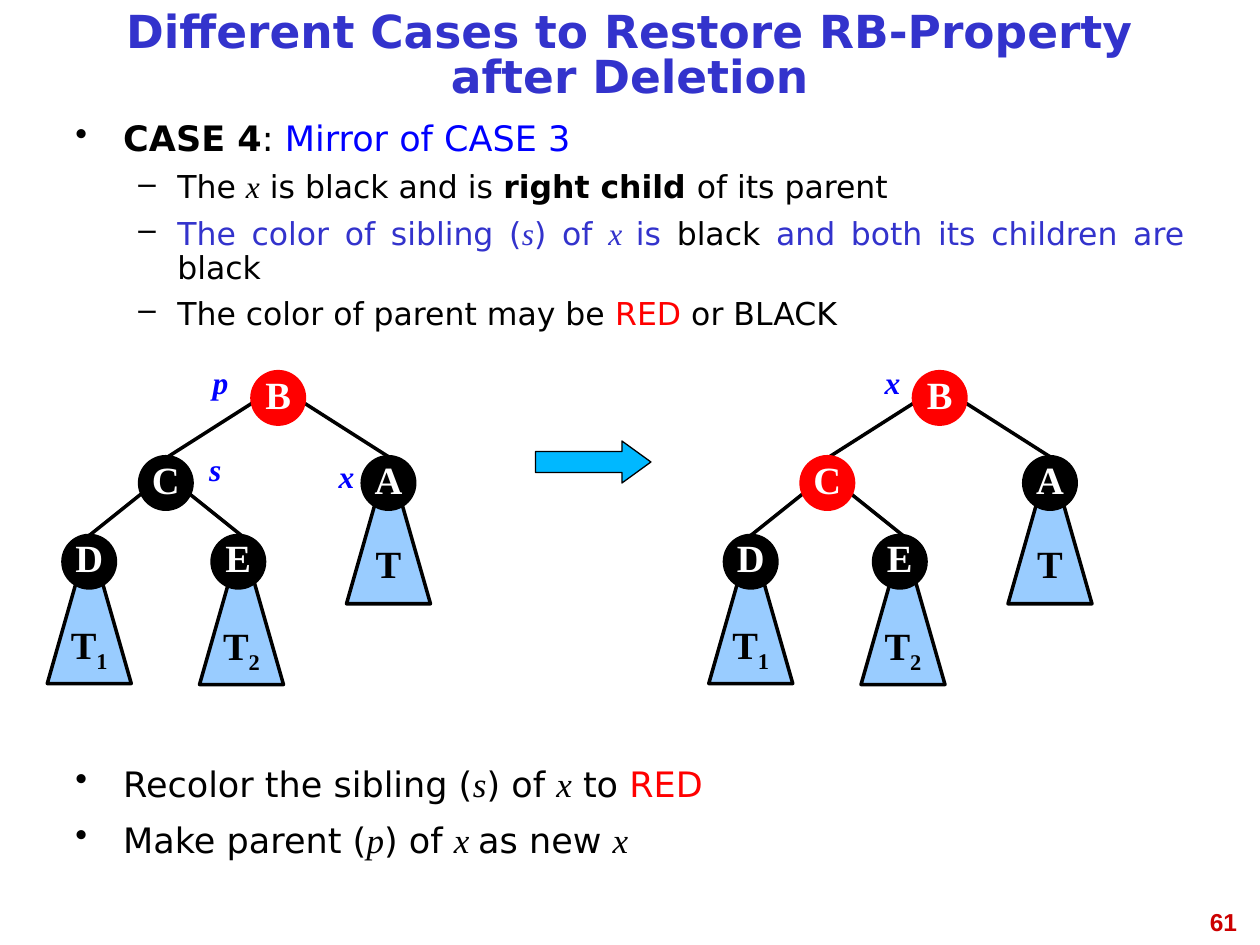
from lxml import etree
from pptx import Presentation
from pptx.dml.color import RGBColor
from pptx.enum.shapes import MSO_CONNECTOR, MSO_SHAPE
from pptx.enum.text import MSO_ANCHOR, PP_ALIGN
from pptx.oxml.ns import qn
from pptx.util import Inches, Pt

LEFT, CENTER, RIGHT, JUSTIFY = PP_ALIGN.LEFT, PP_ALIGN.CENTER, PP_ALIGN.RIGHT, PP_ALIGN.JUSTIFY
TOP, MIDDLE = MSO_ANCHOR.TOP, MSO_ANCHOR.MIDDLE
STRAIGHT = MSO_CONNECTOR.STRAIGHT
ELLIPSE, TRIANGLE, ARROW = MSO_SHAPE.OVAL, MSO_SHAPE.ISOSCELES_TRIANGLE, MSO_SHAPE.RIGHT_ARROW

WIDTH, HEIGHT = Inches(10), Inches(7.5)
COLUMN, ROW = WIDTH / 120, HEIGHT / 90
NODE_SIZE, SUBTREE_SIZE = (5, 5), (8, 14)

COLORS = {
    "black": "000000", "white": "FFFFFF", "red": "FF0000", "blue": "0000FF",
    "indigo": "3333CC", "crimson": "CC0000", "sky": "99CCFF", "cyan": "00B8FF",
}
SANS, SERIF = "DejaVu Sans", "Times New Roman"
PLAIN = {"name": SANS, "bold": False, "italic": False, "color": "black"}
VARIABLE = {"name": SERIF, "italic": True}
BOLD, RED, BLUE, INDIGO = {"bold": True}, {"color": "red"}, {"color": "blue"}, {"color": "indigo"}
INDIGO_VARIABLE = VARIABLE | INDIGO
TITLE_FORMAT = {"size": 26, "bold": True, "color": "indigo"}
NUMBER_FORMAT = {"name": "Arial", "size": 14, "bold": True, "color": "crimson"}
NODE_FORMAT = {"name": SERIF, "size": 22, "bold": True, "color": "white"}
SUBTREE_FORMAT = NODE_FORMAT | {"color": "black"}
LABEL_FORMAT = VARIABLE | {"size": 18, "bold": True, "color": "blue"}

# Bullet levels: mark, margin and hanging indent in inches, size and space before in points
LEVELS = [
    {"mark": "•", "margin": 0.38, "hang": 0.38, "size": 20, "before": 8},
    {"mark": "–", "margin": 0.81, "hang": 0.31, "size": 18, "before": 7},
]
CASE_ITEMS = [
    (0, [("CASE 4", BOLD), (": ", {}), ("Mirror of CASE 3", BLUE)]),
    (1, [("The ", {}), ("x", VARIABLE), (" is black and is ", {}),
         ("right child ", BOLD), ("of its parent", {})]),
    (1, [("The color of sibling (", INDIGO), ("s", INDIGO_VARIABLE), (") of ", INDIGO),
         ("x ", INDIGO_VARIABLE), ("is ", INDIGO), ("black", {}),
         (" and both its children are ", INDIGO), ("black", {})]),
    (1, [("The color of parent may be ", {}), ("RED", RED), (" or BLACK", {})]),
]
ACTION_ITEMS = [
    (0, [("Recolor the sibling (", {}), ("s", VARIABLE), (") of ", {}),
         ("x", VARIABLE), (" to ", {}), ("RED", RED)]),
    (0, [("Make parent (", {}), ("p", VARIABLE), (") of ", {}),
         ("x ", VARIABLE), ("as new ", {}), ("x", VARIABLE)]),
]

# Tree parts, in columns and rows from the corner of the tree
EDGES = [
    ((24.5, 4.4), (32.5, 9.5)), ((19.5, 4.4), (11.5, 9.5)),
    ((9, 13), (4, 17)), ((13.5, 13), (18.5, 17)),
]
SUBTREES = [("", (28.5, 9.5)), ("1", (0, 17.1)), ("2", (14.5, 17.2))]
NODES = {"B": (19.5, 1.4), "A": (30, 9.5), "C": (8.8, 9.5), "D": (1.5, 17), "E": (15.7, 17)}
TREES = [
    ((4.5, 34), {"B"}, [("p", (11.5, 0, 10, 4.8)), ("x", (25.5, 8.9, 6, 4.8)),
                        ("s", (12.5, 8.3, 7, 4.8))]),
    ((67.5, 34), {"B", "C"}, [("x", (12.5, 0, 10, 4.8))]),
]


def rgb(name):
    return RGBColor.from_string(COLORS[name])


def on_grid(box):
    """Turns columns and rows, in turn, into slide lengths."""
    return [round(value * (ROW if index % 2 else COLUMN)) for index, value in enumerate(box)]


def add_span(para, text, **changes):
    style = PLAIN | changes
    span = para.add_run()
    span.text = text
    span.font.size = Pt(style["size"])
    span.font.color.rgb = rgb(style["color"])
    for name in ("name", "bold", "italic"):
        setattr(span.font, name, style[name])
    return span


def add_bullet(para, mark, margin, hang):
    properties = para._p.get_or_add_pPr()
    properties.set("marL", str(Inches(margin)))
    properties.set("indent", str(-Inches(hang)))
    color = etree.SubElement(properties, qn("a:buClr"))
    etree.SubElement(color, qn("a:srgbClr")).set("val", COLORS["black"])
    etree.SubElement(properties, qn("a:buChar")).set("char", mark)


def add_text_box(page, box, anchor=TOP):
    frame = page.shapes.add_textbox(*on_grid(box)).text_frame
    for name, value in {"word_wrap": True, "vertical_anchor": anchor}.items():
        setattr(frame, name, value)
    return frame


def add_line_of_text(page, box, text, style, align=CENTER, anchor=TOP, spacing=1.0):
    para = add_text_box(page, box, anchor).paragraphs[0]
    para.alignment, para.line_spacing = align, spacing
    add_span(para, text, **style)


def add_bullet_list(page, box, items, spacing):
    frame = add_text_box(page, box)
    for index, (depth, spans) in enumerate(items):
        level = LEVELS[depth]
        para = frame.add_paragraph() if index else frame.paragraphs[0]
        add_bullet(para, level["mark"], level["margin"], level["hang"])
        para.level, para.alignment, para.line_spacing = depth, JUSTIFY, spacing
        para.space_before = Pt(level["before"] if index else 0)
        for text, changes in spans:
            add_span(para, text, size=level["size"], **changes)


def add_filled_shape(page, kind, box, fill, line="black", weight=2):
    shape = page.shapes.add_shape(kind, *on_grid(box))
    shape.shadow.inherit = False
    shape.fill.solid()
    shape.fill.fore_color.rgb = rgb(fill)
    shape.line.color.rgb = rgb(line)
    shape.line.width = Pt(weight)
    return shape


def shape_paragraph(shape):
    """Prepares a shape for one centred, unwrapped line."""
    frame = shape.text_frame
    frame.word_wrap, frame.vertical_anchor = False, MIDDLE
    para = frame.paragraphs[0]
    para.alignment, para.line_spacing = CENTER, 0.81
    return para


def add_edge(page, start, end):
    edge = page.shapes.add_connector(STRAIGHT, *on_grid(start + end))
    edge.line.color.rgb = rgb("black")
    edge.line.width = Pt(2)
    etree.SubElement(edge._element.spPr, qn("a:effectLst"))


def add_tree(page, corner, red_nodes, labels):
    def shifted(place):
        return (corner[0] + place[0], corner[1] + place[1])

    for start, end in EDGES:
        add_edge(page, shifted(start), shifted(end))
    for index, place in SUBTREES:
        para = shape_paragraph(add_filled_shape(page, TRIANGLE, shifted(place) + SUBTREE_SIZE, "sky"))
        add_span(para, "T", **SUBTREE_FORMAT)
        if index:
            span = add_span(para, index, **SUBTREE_FORMAT)
            span._r.get_or_add_rPr().set("baseline", "-25000")
    for name, place in NODES.items():
        color = "red" if name in red_nodes else "black"
        node = add_filled_shape(page, ELLIPSE, shifted(place) + NODE_SIZE, color, color)
        add_span(shape_paragraph(node), name, **NODE_FORMAT)
    for text, box in labels:
        add_line_of_text(page, shifted(box) + box[2:], text, LABEL_FORMAT)


def main():
    deck = Presentation()
    deck.slide_width, deck.slide_height = WIDTH, HEIGHT
    page = deck.slides.add_slide(deck.slide_layouts[6])
    add_line_of_text(page, (91, 85.8, 28, 6.2), "61", NUMBER_FORMAT, RIGHT)
    add_line_of_text(page, (6, 1, 108, 9), "Different Cases to Restore RB-Property after Deletion",
                     TITLE_FORMAT, anchor=MIDDLE, spacing=0.81)
    add_bullet_list(page, (6, 11, 108, 23), CASE_ITEMS, 0.9)
    add_bullet_list(page, (6, 72, 108, 15), ACTION_ITEMS, 1.0)
    arrow = add_filled_shape(page, ARROW, (51, 42, 11, 4), "cyan", weight=0.75)
    arrow.adjustments[1] = 0.69
    for corner, red_nodes, labels in TREES:
        add_tree(page, corner, red_nodes, labels)
    deck.save("out.pptx")


if __name__ == "__main__":
    main()
